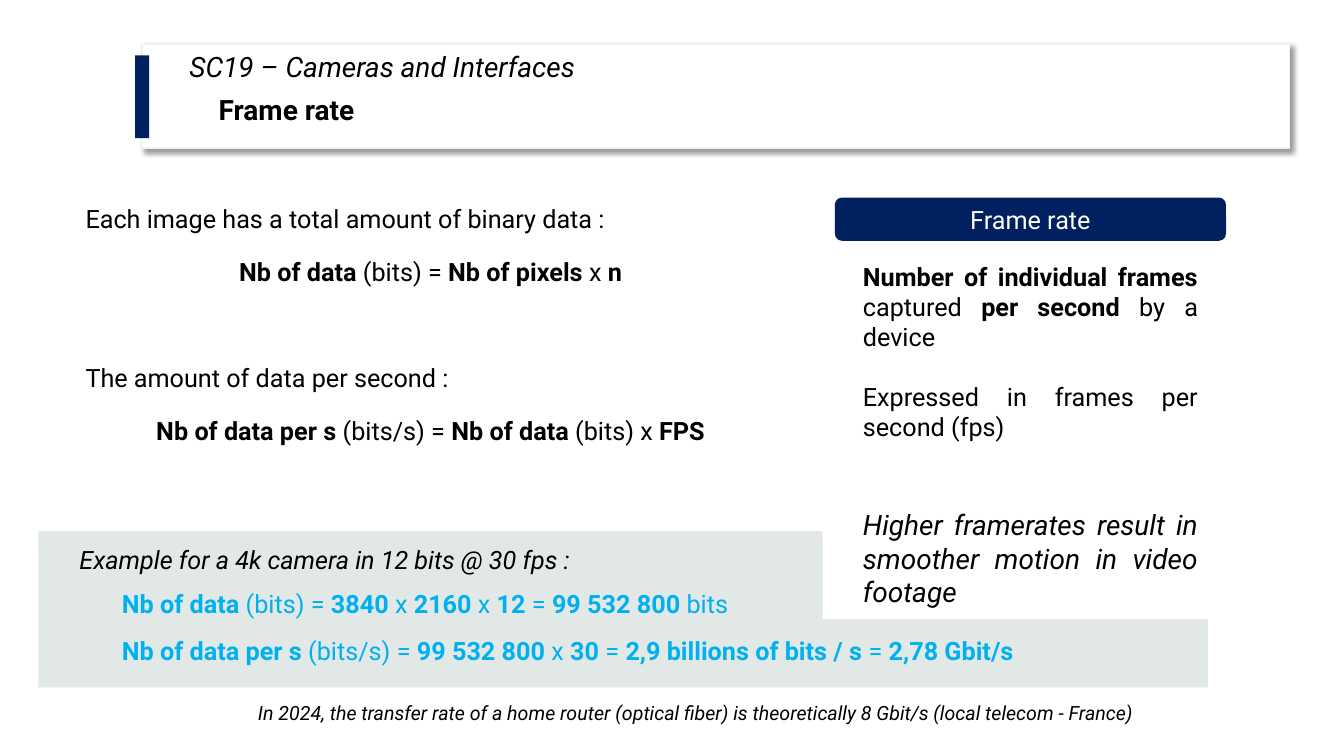
import pptx
import pptx.util
import pptx.dml.color
import pptx.enum.shapes
import pptx.enum.text
import lxml.etree

Inches = pptx.util.Inches
Pt = pptx.util.Pt
Kind = pptx.enum.shapes.MSO_SHAPE
Align = pptx.enum.text.PP_ALIGN
COLORS = {"navy": "002060", "sky": "00B0F0", "mist": "E2E8E6",
          "white": "FFFFFF", "edge": "F2F2F2", "black": "000000"}


def shade(name):
    return pptx.dml.color.RGBColor.from_string(COLORS[name])


def write(para, text, size=18, color="black", italic=False, align=Align.JUSTIFY):
    """Add text run by run; parts between asterisks are bold."""
    para.alignment = align
    for i, part in enumerate(text.split("*")):
        if part:
            run = para.add_run()
            run.text = part
            font = run.font
            font.name, font.size = "Roboto", Pt(size)
            font.bold, font.italic = i % 2 == 1, italic
            font.color.rgb = shade(color)


deck = pptx.Presentation()
deck.slide_width, deck.slide_height = Inches(13.33), Inches(7.5)
slide = deck.slides.add_slide(deck.slide_layouts[6])

# Panels: example background with its cut-out, title card, accent, label
panels = {}
for name, kind, color, x, y, w, h in [
    ("example", Kind.RECTANGLE, "mist", 0.38, 5.27, 11.6, 1.55),
    ("notch", Kind.RECTANGLE, "white", 8.16, 4.73, 4.07, 1.41),
    ("card", Kind.RECTANGLE, "white", 1.41, 0.44, 11.38, 1.03),
    ("accent", Kind.RECTANGLE, "navy", 1.34, 0.55, 0.14, 0.82),
    ("label", Kind.ROUNDED_RECTANGLE, "navy", 8.28, 1.96, 3.88, 0.43),
]:
    panel = slide.shapes.add_shape(kind, Inches(x), Inches(y), Inches(w), Inches(h))
    panel.shadow.inherit = False
    panel.fill.solid()
    panel.fill.fore_color.rgb = shade(color)
    panel.line.fill.background()
    panels[name] = panel

# Title card border and shadow
card = panels["card"]
card.line.color.rgb = shade("edge")
card.line.width = Pt(1)
ns = "http://schemas.openxmlformats.org/drawingml/2006/main"
glow = lxml.etree.fromstring(
    f'<a:outerShdw xmlns:a="{ns}" blurRad="{Pt(4)}" dist="{Pt(3)}" dir="2700000" '
    f'algn="tl" rotWithShape="0"><a:srgbClr val="{COLORS["black"]}">'
    '<a:alpha val="40000"/></a:srgbClr></a:outerShdw>')
card.element.spPr.find(f"{{{ns}}}effectLst").append(glow)

# Label text
frame = panels["label"].text_frame
frame.vertical_anchor = pptx.enum.text.MSO_ANCHOR.MIDDLE
write(frame.paragraphs[0], "Frame rate", color="white", align=Align.CENTER)

# One-line texts: place, wording, size, colour, italic, alignment
LEFT, MID, JUST = Align.LEFT, Align.CENTER, Align.JUSTIFY
for x, y, w, h, text, size, color, italic, align in [
    (1.78, 0.48, 9.15, 0.77, "SC19 – Cameras and Interfaces", 20, "black", True, LEFT),
    (2.07, 0.87, 6.87, 0.44, "*Frame rate*", 20, "black", False, LEFT),
    (0.75, 1.97, 7.04, 0.4, "Each image has a total amount of binary data :",
     18, "black", False, JUST),
    (0.75, 2.49, 7.04, 0.4, "*Nb of data *(bits) = *Nb of pixels *x *n*",
     18, "black", False, MID),
    (0.75, 3.55, 7.04, 0.4, "The amount of data per second :", 18, "black", False, JUST),
    (0.75, 4.07, 7.04, 0.4, "*Nb of data per s *(bits/s) = *Nb of data *(bits) x *FPS*",
     18, "black", False, MID),
    (0.69, 5.35, 7.04, 0.4, "Example for a 4k camera in 12 bits @ 30 fps :",
     18, "black", True, JUST),
    (1.11, 5.79, 6.85, 0.4,
     "*Nb of data *(bits) = *3840* x *2160 *x *12 *=* 99 532 800 *bits",
     18, "sky", False, JUST),
    (1.11, 6.25, 10.38, 0.4,
     "*Nb of data per s *(bits/s) = *99 532 800 *x* 30 *= "
     "*2,9 billions of bits / s *=* 2,78 Gbit/s*", 18, "sky", False, JUST),
    (2.46, 6.9, 9.51, 0.34,
     "In 2024, the transfer rate of a home router (optical fiber) is "
     "theoretically 8 Gbit/s (local telecom - France)", 14, "black", True, JUST),
]:
    box = slide.shapes.add_textbox(Inches(x), Inches(y), Inches(w), Inches(h))
    box.text_frame.word_wrap = True
    para = box.text_frame.paragraphs[0]
    if text.startswith("SC19"):
        para.line_spacing = 0.9
    write(para, text, size, color, italic, align)

# Definition column
box = slide.shapes.add_textbox(Inches(8.46), Inches(2.54), Inches(3.52), Inches(3.6))
frame = box.text_frame
frame.word_wrap = True
para = frame.paragraphs[0]
write(para, "*Number of individual frames *captured *per second *by a device")
for text, size, gap, italic in [
    ("Expressed in frames per second (fps)", 18, 21, False),
    ("Higher framerates result in smoother motion in video footage", 20, 47, True),
]:
    para = frame.add_paragraph()
    para.space_before = Pt(gap)
    write(para, text, size, italic=italic)

deck.save("out.pptx")
